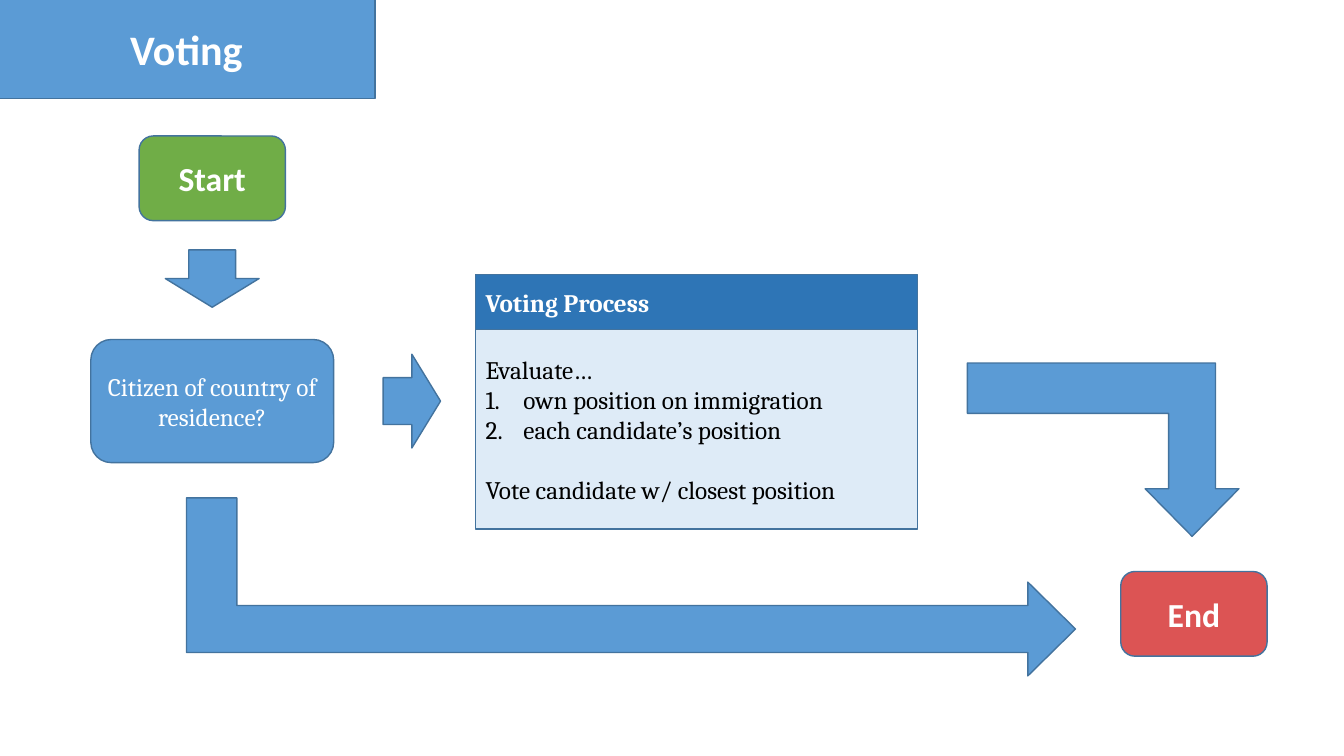
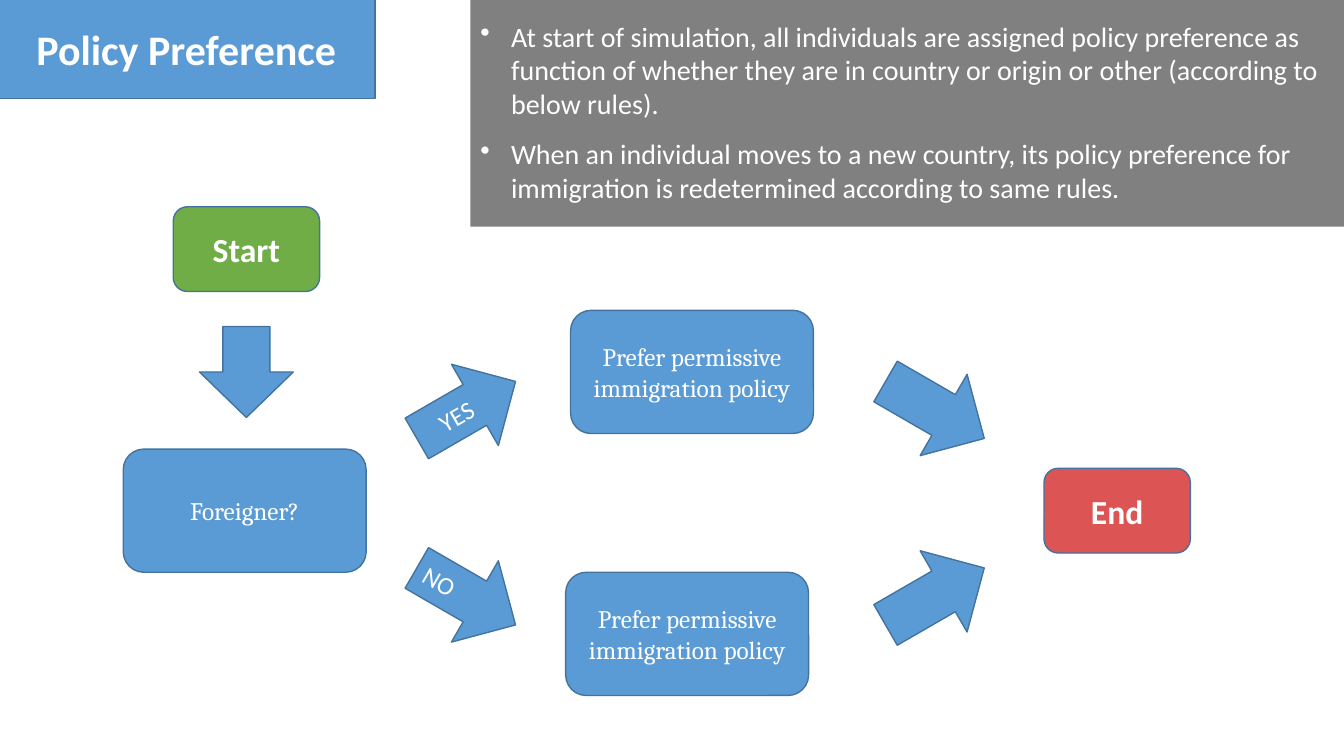
from dataclasses import dataclass

from lxml import etree
from pptx import Presentation
from pptx.dml.color import RGBColor
from pptx.enum import shapes, text
from pptx.oxml import ns
from pptx.util import Pt


@dataclass(frozen=True)
class Theme:
    blue: str = "5B9BD5"
    outline: str = "43739E"
    green: str = "70AD47"
    red: str = "DC5454"
    header: str = "2E75B6"
    panel: str = "DEEBF7"
    grey: str = "808080"
    white: str = "FFFFFF"
    black: str = "000000"
    sans: str = "Calibri"
    serif: str = "Cambria"
    title: int = 30
    terminal: int = 24
    note: int = 20
    body: int = 18


@dataclass(frozen=True)
class Box:
    left: float
    top: float
    width: float
    height: float


THEME = Theme()
PRESET = shapes.MSO_SHAPE
CENTER = text.PP_ALIGN.CENTER
LEFT = text.PP_ALIGN.LEFT

TITLE_BOX = Box(-1.5, -1.5, 269.3, 72)
TERMINAL_SIZE = (104.5, 60.5)
STEP_SIZE = (173.5, 88)
ARROW_WIDTH = 67
ELBOW_TAIL = 36
ELBOW_SHAFT = 33.5
ELBOW_HEAD = 34


def centered(x, y, size):
    width, height = size
    return Box(x - width / 2, y - height / 2, width, height)


# Shared formatting
def paint(shape, fill, outline=THEME.outline):
    shape.fill.solid()
    shape.fill.fore_color.rgb = RGBColor.from_string(fill)
    if outline:
        shape.line.color.rgb = RGBColor.from_string(outline)
        shape.line.width = Pt(1)
    else:
        shape.line.fill.background()


def place(shape, box):
    shape.left, shape.top = Pt(box.left), Pt(box.top)
    shape.width, shape.height = Pt(box.width), Pt(box.height)


def add_block(slide, preset, box, fill, outline=THEME.outline):
    shape = slide.shapes.add_shape(
        preset, Pt(box.left), Pt(box.top), Pt(box.width), Pt(box.height))
    shape.shadow.inherit = False
    paint(shape, fill, outline)
    return shape


def add_run(paragraph, words, size, font, color=THEME.white, bold=False):
    run = paragraph.add_run()
    run.text = words
    run.font.size = Pt(size)
    run.font.name = font
    run.font.bold = bold
    run.font.color.rgb = RGBColor.from_string(color)


def write(shape, lines, size, font, color=THEME.white, bold=False, align=CENTER):
    frame = shape.text_frame
    frame.word_wrap = True
    frame.vertical_anchor = text.MSO_ANCHOR.MIDDLE
    for index, line in enumerate(lines):
        paragraph = frame.add_paragraph() if index else frame.paragraphs[0]
        paragraph.alignment = align
        add_run(paragraph, line, size, font, color, bold)
    return frame


def add_bullet(paragraph, indent, tag, **attributes):
    properties = paragraph._p.get_or_add_pPr()
    properties.set("marL", str(Pt(indent)))
    properties.set("indent", str(-Pt(indent)))
    bullet = etree.SubElement(properties, ns.qn(tag))
    for name, value in attributes.items():
        bullet.set(name, value)


# Title tab
def add_titled_slide(presentation, words):
    slide = presentation.slides.add_slide(presentation.slide_layouts[5])
    title = slide.shapes.title
    place(title, TITLE_BOX)
    paint(title, THEME.blue)
    frame = write(title, [words], THEME.title, THEME.sans, bold=True)
    frame.auto_size = text.MSO_AUTO_SIZE.NONE
    return slide


# Flowchart parts
def add_terminal(slide, box, words, fill):
    shape = add_block(slide, PRESET.ROUNDED_RECTANGLE, box, fill)
    write(shape, [words], THEME.terminal, THEME.sans, bold=True)


def add_step(slide, box, words):
    shape = add_block(slide, PRESET.ROUNDED_RECTANGLE, box, THEME.blue)
    write(shape, [words], THEME.body, THEME.serif)


def add_arrow(slide, box, rotation=0, words=None, direction=None):
    shape = add_block(slide, PRESET.DOWN_ARROW, box, THEME.blue)
    shape.rotation = rotation
    if words:
        frame = write(shape, [words], THEME.body, THEME.sans)
        frame._txBody.bodyPr.set("vert", direction)


def add_elbow_arrow(slide, box, down_first):
    """Bent arrow; the outline is transposed when it runs right first."""
    reach, depth = box.width, box.height
    if not down_first:
        reach, depth = depth, reach
    flare = (ARROW_WIDTH - ELBOW_SHAFT) / 2
    outer = depth - flare
    inner = outer - ELBOW_SHAFT
    neck = reach - ELBOW_HEAD
    outline = [
        (0, 0), (ELBOW_TAIL, 0), (ELBOW_TAIL, inner), (neck, inner),
        (neck, inner - flare), (reach, (inner + outer) / 2),
        (neck, depth), (neck, outer), (0, outer),
    ]
    if not down_first:
        outline = [(y, x) for x, y in outline]
    points = [(Pt(box.left + x), Pt(box.top + y)) for x, y in outline]
    builder = slide.shapes.build_freeform(*points[0])
    builder.add_line_segments(points[1:], close=True)
    shape = builder.convert_to_shape()
    shape.shadow.inherit = False
    paint(shape, THEME.blue)


def add_process_panel(slide, box, heading, lines, numbered):
    header_height = 39.6
    body_box = Box(box.left, box.top + header_height,
                   box.width, box.height - header_height)
    body = add_block(slide, PRESET.RECTANGLE, body_box, THEME.panel)
    frame = write(body, lines, THEME.body, THEME.serif, THEME.black, align=LEFT)
    for index in numbered:
        add_bullet(frame.paragraphs[index], 27, "a:buAutoNum", type="arabicPeriod")
    frame.paragraphs[-1].space_before = Pt(21.5)

    header_box = Box(box.left, box.top, box.width, header_height)
    header = add_block(slide, PRESET.RECTANGLE, header_box, THEME.header)
    write(header, [heading], THEME.body, THEME.serif, bold=True, align=LEFT)


def add_note(slide, box, lines):
    shape = add_block(slide, PRESET.RECTANGLE, box, THEME.grey, outline=None)
    frame = write(shape, lines, THEME.note, THEME.sans, align=LEFT)
    frame.vertical_anchor = text.MSO_ANCHOR.TOP
    frame.margin_top = frame.margin_bottom = Pt(14.4)
    frame.auto_size = text.MSO_AUTO_SIZE.SHAPE_TO_FIT_TEXT
    for paragraph in frame.paragraphs:
        paragraph.space_before = Pt(12)
        add_bullet(paragraph, 22, "a:buChar", char="•")


# Slide 1
def build_voting(presentation):
    slide = add_titled_slide(presentation, "Voting")
    column, row = 151.6, 286.5
    add_terminal(slide, centered(column, 127.4, TERMINAL_SIZE), "Start", THEME.green)
    add_terminal(slide, centered(852.8, 438.5, TERMINAL_SIZE), "End", THEME.red)
    short_arrow = (ARROW_WIDTH, 41)
    add_arrow(slide, centered(column, 199, short_arrow))
    add_process_panel(
        slide, Box(339.8, 196, 315.4, 182), "Voting Process",
        ["Evaluate…", "own position on immigration",
         "each candidate’s position", "Vote candidate w/ closest position"],
        numbered=(1, 2))
    add_arrow(slide, centered(294.2, row, short_arrow), 270)
    add_step(slide, centered(column, row, STEP_SIZE),
             "Citizen of country of residence?")
    add_elbow_arrow(slide, Box(133.2, 355.6, 635, 127.2), down_first=True)
    add_elbow_arrow(slide, Box(691, 259.3, 194, 123.8), down_first=False)


# Slide 2
def build_policy_preference(presentation):
    slide = add_titled_slide(presentation, "Policy Preference")
    column, row = 176, 364.8
    add_terminal(slide, centered(column, 178, TERMINAL_SIZE), "Start", THEME.green)
    add_terminal(slide, centered(798, row, TERMINAL_SIZE), "End", THEME.red)
    add_arrow(slide, centered(column, 265.7, (ARROW_WIDTH, 65)))
    add_step(slide, centered(174.8, row, STEP_SIZE), "Foreigner?")
    for x, y in ((494.3, 265.7), (490.8, 452.8)):
        add_step(slide, centered(x, y, STEP_SIZE),
                 "Prefer permissive immigration policy")

    upper, lower = 292.8, 426
    branches = (
        (333, upper, 240, "YES", "vert"),
        (333, lower, 300, "NO", "eaVert"),
        (667.8, upper, 300, None, None),
        (667.8, lower, 240, None, None),
    )
    for x, y, rotation, words, direction in branches:
        add_arrow(slide, centered(x, y, (ARROW_WIDTH, 81.4)),
                  rotation, words, direction)

    add_note(slide, Box(336, -0.7, 624.2, 162.7), [
        "At start of simulation, all individuals are assigned policy preference "
        "as function of whether they are in country or origin or other "
        "(according to below rules).",
        "When an individual moves to a new country, its policy preference for "
        "immigration is redetermined according to same rules.",
    ])


def main():
    presentation = Presentation()
    presentation.slide_width, presentation.slide_height = Pt(960), Pt(540)
    build_voting(presentation)
    build_policy_preference(presentation)
    presentation.save("out.pptx")


main()
